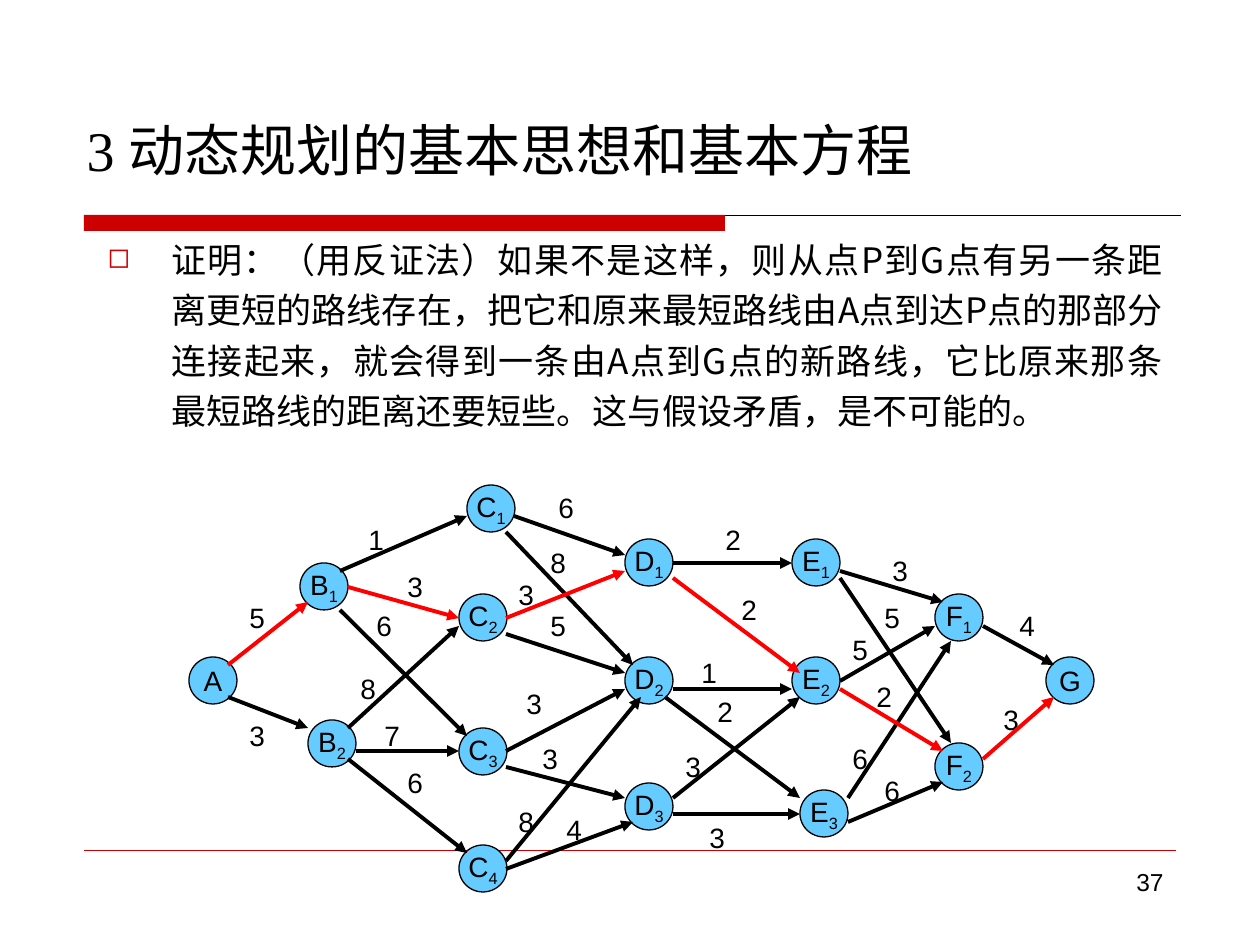
from lxml import etree
from pptx import Presentation
from pptx.dml.color import RGBColor
from pptx.enum.shapes import MSO_CONNECTOR as CONN, MSO_SHAPE as SHAPE
from pptx.enum.text import MSO_ANCHOR as ANCHOR, PP_ALIGN as ALIGN
from pptx.oxml.ns import qn
from pptx.util import Emu, Pt

EMU_PER_PX = 914400 / 126
BLACK, RED, CRIMSON, SKY = "000000", "FF0000", "CC0000", "66CCFF"
CJK = "Noto Sans CJK SC"


def px(n):
    return Emu(round(n * EMU_PER_PX))


def rgb(color):
    return RGBColor.from_string(color)


class SlideBuilder:
    font = "Arial"
    node_size = (48, 47)
    label_size = (42, 47)

    def __init__(self, slide):
        self.slide = slide
        self.shapes = slide.shapes

    def run(self, p, text, size, font=None, subscript=False):
        r = p.add_run()
        r.text = text
        f = r.font
        f.size, f.name, f.color.rgb = Pt(size), font or self.font, rgb(BLACK)
        etree.SubElement(f._element, qn("a:ea"), typeface=f.name)
        if subscript:
            f._element.set("baseline", "-25000")

    def title(self, box, *runs):
        sp = self.shapes.title
        sp.left, sp.top, sp.width, sp.height = map(px, box)
        tf = sp.text_frame
        tf.vertical_anchor = ANCHOR.BOTTOM
        p = tf.paragraphs[0]
        p.alignment = ALIGN.LEFT
        for text, font in runs:
            self.run(p, text, 32, font)

    def text(self, box, text, size, align=ALIGN.LEFT, font=None, wrap=True):
        tf = self.shapes.add_textbox(*map(px, box)).text_frame
        tf.word_wrap = wrap
        p = tf.paragraphs[0]
        p.alignment = align
        self.run(p, text, size, font)
        return p

    def bullet(self, box, text, indent):
        p = self.text(box, text, 20, ALIGN.JUSTIFY, CJK)
        p.line_spacing = 1.2
        pPr = p._p.get_or_add_pPr()
        pPr.set("marL", str(px(indent)))
        pPr.set("indent", str(-px(indent)))
        color = etree.SubElement(pPr, qn("a:buClr"))
        etree.SubElement(color, qn("a:srgbClr"), val=CRIMSON)
        etree.SubElement(pPr, qn("a:buSzPct"), val="80000")
        etree.SubElement(pPr, qn("a:buChar"), char="◻")

    def bar(self, box, color):
        sp = self.shapes.add_shape(SHAPE.RECTANGLE, *map(px, box))
        sp.shadow.inherit = False
        sp.fill.solid()
        sp.fill.fore_color.rgb = rgb(color)
        sp.line.fill.background()

    def node(self, name, x, y):
        """Draw a circle whose letter is followed by its index as a subscript."""
        sp = self.shapes.add_shape(SHAPE.OVAL, *map(px, (x, y, *self.node_size)))
        sp.shadow.inherit = False
        sp.fill.solid()
        sp.fill.fore_color.rgb = rgb(SKY)
        sp.line.color.rgb, sp.line.width = rgb(BLACK), Pt(0.75)
        tf = sp.text_frame
        tf.word_wrap, tf.vertical_anchor = False, ANCHOR.MIDDLE
        p = tf.paragraphs[0]
        p.alignment = ALIGN.CENTER
        self.run(p, name[0], 16)
        if name[1:]:
            self.run(p, name[1:], 16, subscript=True)

    def line(self, ends, color, width, arrow=False):
        cn = self.shapes.add_connector(CONN.STRAIGHT, *map(px, ends))
        cn.line.color.rgb, cn.line.width = rgb(color), Pt(width)
        if arrow:
            etree.SubElement(cn.line._get_or_add_ln(), qn("a:tailEnd"), type="triangle")
        etree.SubElement(cn._element.spPr, qn("a:effectLst"))

    def weight(self, value, x, y):
        self.text((x, y, *self.label_size), str(value), 16, wrap=False)


NODES = {
    "A": (189, 657), "B1": (300, 563), "B2": (308, 720),
    "C1": (467, 485), "C2": (459, 594), "C3": (459, 728), "C4": (459, 845),
    "D1": (625, 539), "D2": (625, 657), "D3": (625, 783),
    "E1": (792, 539), "E2": (792, 657), "E3": (800, 790),
    "F1": (935, 594), "F2": (935, 743), "G": (1046, 657),
}

# route: (arrow ends, weight, weight position)
EDGES = {
    "A-B1": ((228, 665, 308, 602), 5, (237, 594)),
    "A-B2": ((228, 697, 308, 728), 3, (237, 712)),
    "B1-C1": ((340, 571, 467, 516), 1, (356, 516)),
    "B1-C2": ((348, 587, 459, 618), 3, (395, 563)),
    "B1-C3": ((340, 610, 467, 736), 6, (364, 602)),
    "B2-C2": ((348, 728, 459, 626), 8, (348, 665)),
    "B2-C3": ((356, 751, 459, 751), 7, (372, 712)),
    "B2-C4": ((348, 759, 467, 853), 6, (395, 759)),
    "C1-D1": ((514, 516, 625, 555), 6, (546, 484)),
    "C1-D2": ((506, 532, 633, 665), 8, (538, 539)),
    "C2-D1": ((506, 618, 625, 571), 3, (506, 571)),
    "C2-D2": ((506, 634, 625, 673), 5, (538, 602)),
    "C3-D2": ((506, 751, 625, 689), 3, (514, 680)),
    "C3-D3": ((506, 767, 625, 798), 3, (530, 735)),
    "C4-D2": ((506, 861, 641, 697), 8, (506, 798)),
    "C4-D3": ((506, 869, 633, 822), 4, (554, 806)),
    "D1-E1": ((673, 563, 792, 563), 2, (713, 516)),
    "D1-E2": ((673, 578, 800, 673), 2, (729, 586)),
    "D2-E2": ((673, 689, 792, 689), 1, (689, 649)),
    "D2-E3": ((665, 697, 800, 798), 2, (705, 688)),
    "D3-E2": ((673, 798, 800, 697), 3, (673, 743)),
    "D3-E3": ((673, 814, 800, 814), 3, (697, 814)),
    "E1-F1": ((840, 571, 943, 602), 3, (880, 547)),
    "E1-F2": ((840, 578, 951, 743), 5, (872, 594)),
    "E2-F1": ((840, 681, 935, 626), 5, (840, 626)),
    "E2-F2": ((840, 689, 943, 751), 2, (864, 673)),
    "E3-F1": ((848, 798, 951, 641), 6, (840, 735)),
    "E3-F2": ((848, 822, 943, 782), 6, (872, 767)),
    "F1-G": ((983, 626, 1054, 665), 4, (1007, 602)),
    "F2-G": ((983, 759, 1054, 697), 3, (991, 696)),
}
SHORTEST = ("A-B1", "B1-C2", "C2-D1", "D1-E2", "E2-F2", "F2-G")

PROOF = (
    "证明：（用反证法）如果不是这样，则从点P到G点有另一条距离更短的路线存在，"
    "把它和原来最短路线由A点到达P点的那部分连接起来，就会得到一条由A点到G点的新路线，"
    "它比原来那条最短路线的距离还要短些。这与假设矛盾，是不可能的。"
)


def main():
    prs = Presentation()
    prs.slide_width, prs.slide_height = px(1260), px(945)
    s = SlideBuilder(prs.slides.add_slide(prs.slide_layouts[5]))

    s.title((74, 103, 912, 86), ("3 ", "Times New Roman"),
            ("动态规划的基本思想和基本方程", "DejaVu Sans"))
    s.line((84, 215, 1181, 215), BLACK, 0.25)
    s.bar((84, 215, 641, 16), CRIMSON)
    s.line((84, 850, 1176, 850), CRIMSON, 0.25)
    s.bullet((95, 224, 1080, 229), PROOF, 64)
    s.text((903, 861, 273, 66), "37", 14, ALIGN.RIGHT)

    for name, spot in NODES.items():
        s.node(name, *spot)
    for route, (ends, _, _) in EDGES.items():
        if route not in SHORTEST:
            s.line(ends, BLACK, 2.25, arrow=True)
    for _, value, spot in EDGES.values():
        s.weight(value, *spot)
    for route in SHORTEST:
        s.line(EDGES[route][0], RED, 2.25, arrow=True)

    prs.save("out.pptx")


if __name__ == "__main__":
    main()
